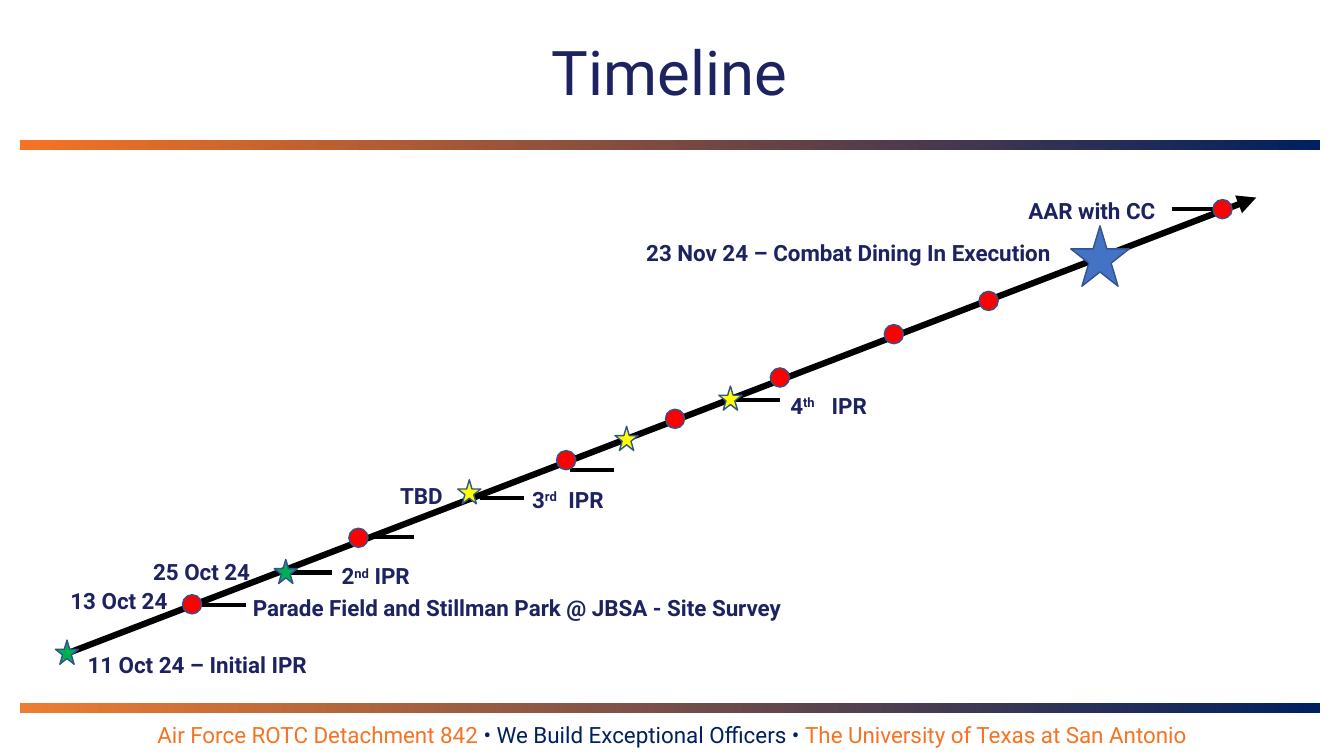
from lxml.etree import SubElement
from pptx import Presentation
from pptx.dml.color import RGBColor
from pptx.enum.shapes import MSO_CONNECTOR as Connector, MSO_SHAPE as Shape
from pptx.enum.text import MSO_ANCHOR as Anchor, MSO_AUTO_SIZE as AutoSize, PP_ALIGN as Align
from pptx.oxml.ns import qn
from pptx.util import Pt

PX = 9144
SLIDE_WIDTH, SLIDE_HEIGHT = 1333, 750
TITLE_ONLY = 5

ORANGE = RGBColor(0xF5, 0x73, 0x22)
PALE_ORANGE = RGBColor(0xED, 0x7D, 0x31)
NAVY = RGBColor(0x00, 0x20, 0x60)
INDIGO = RGBColor(0x1D, 0x22, 0x60)
BLACK = RGBColor(0x00, 0x00, 0x00)
RED = RGBColor(0xFF, 0x00, 0x00)
GREEN = RGBColor(0x00, 0xB0, 0x50)
YELLOW = RGBColor(0xFF, 0xFF, 0x00)
BLUE = RGBColor(0x44, 0x72, 0xC4)
OUTLINE = RGBColor(0x31, 0x53, 0x8F)

TITLE_FONT = {"name": "Roboto", "size": Pt(44), "bold": False}
LABEL_FONT = {"name": "Roboto", "size": Pt(16), "bold": True}
FOOTER_FONT = {"name": "Roboto", "size": Pt(16), "bold": False}
FRAME = {"word_wrap": True, "auto_size": AutoSize.NONE, "vertical_anchor": Anchor.TOP}

BARS = [(139, ORANGE), (697, PALE_ORANGE)]
FOOTER = [
    ("Air Force ROTC Detachment 842 ", ORANGE),
    ("• We Build Exceptional Officers • ", NAVY),
    ("The University of Texas at San Antonio", ORANGE),
]
DASH_LENGTH = 44
DASHES = [(200, 600), (285, 568), (367, 533), (476, 494), (565, 466), (730, 397), (1162, 207)]
DOT_SIZE = 19
DOTS = [(181, 590), (346, 524), (552, 447), (660, 406), (764, 365), (877, 322), (971, 289), (1203, 198)]
STARS = [
    (55, 635, 23, 24, GREEN),
    (272, 555, 23, 24, GREEN),
    (454, 476, 23, 24, YELLOW),
    (610, 423, 23, 24, YELLOW),
    (713, 383, 23, 24, YELLOW),
    (1062, 224, 58, 60, BLUE),
]
LABELS = [
    (77, 637, 350, "11 Oct 24 – Initial IPR"),
    (60, 574, 131, "13 Oct 24"),
    (241, 581, 594, "Parade Field and Stillman Park @ JBSA - Site Survey"),
    (142, 545, 131, "25 Oct 24"),
    (387, 469, 131, "TBD"),
    (1010, 187, 169, "AAR with CC"),
]
REVIEWS = [
    (329, 549, "2", "nd", " IPR", None),
    (518, 473, "3", "rd", "\tIPR", 36),
    (774, 380, "4", "th", "\tIPR", 41),
]


def px(*lengths):
    return [length * PX for length in lengths]


def apply(target, values):
    for name, value in values.items():
        setattr(target, name, value)


def add_run(paragraph, text, font, color):
    run = paragraph.add_run()
    run.text = text
    apply(run.font, font)
    run.font.color.rgb = color
    return run


def add_title(slide, text):
    title = slide.shapes.title
    apply(title, dict(zip(("left", "top", "width", "height"), px(252, 29, 824, 84))))
    apply(title.text_frame, FRAME)
    paragraph = title.text_frame.paragraphs[0]
    paragraph.alignment = Align.CENTER
    add_run(paragraph, text, TITLE_FONT, INDIGO)


def add_text_box(slide, left, top, width, height, frame=FRAME, **paragraph_format):
    box = slide.shapes.add_textbox(*px(left, top, width, height))
    apply(box.text_frame, frame)
    paragraph = box.text_frame.paragraphs[0]
    apply(paragraph, paragraph_format)
    return paragraph


def add_label(slide, left, top, width, text, align=Align.LEFT):
    paragraph = add_text_box(slide, left, top, width, 38, alignment=align, line_spacing=1.15)
    add_run(paragraph, text, LABEL_FONT, INDIGO)


def add_review(slide, left, top, number, suffix, name, tab):
    paragraph = add_text_box(slide, left, top, 350, 41, line_spacing=1.15)
    if tab:
        tabs = SubElement(paragraph._p.get_or_add_pPr(), qn("a:tabLst"))
        SubElement(tabs, qn("a:tab"), pos=str(tab * PX), algn="l")
    add_run(paragraph, number, LABEL_FONT, INDIGO)
    ordinal = add_run(paragraph, suffix, LABEL_FONT, INDIGO)
    ordinal._r.get_or_add_rPr().set("baseline", "30000")
    add_run(paragraph, name, LABEL_FONT, INDIGO)


def add_footer(slide):
    paragraph = add_text_box(slide, 0, 710, SLIDE_WIDTH, 37,
                             {**FRAME, "vertical_anchor": Anchor.BOTTOM}, alignment=Align.CENTER)
    for text, color in FOOTER:
        add_run(paragraph, text, FOOTER_FONT, color)


def add_bar(slide, top, start_color):
    bar = slide.shapes.add_shape(Shape.RECTANGLE, *px(20, top, 1289, 10))
    bar.shadow.inherit = False
    bar.line.fill.background()
    bar.fill.gradient()
    bar.fill.gradient_angle = 0
    for stop, color, position in zip(bar.fill.gradient_stops, (start_color, NAVY), (0, 1)):
        stop.color.rgb = color
        stop.position = position


def add_line(slide, start, end, weight, arrow=False):
    line = slide.shapes.add_connector(Connector.STRAIGHT, *px(*start, *end))
    line.line.color.rgb = BLACK
    line.line.width = Pt(weight)
    if arrow:
        SubElement(line.line._get_or_add_ln(), qn("a:tailEnd"), type="triangle")
    SubElement(line._element.spPr, qn("a:effectLst"))


def add_marker(slide, kind, left, top, width, height, color):
    marker = slide.shapes.add_shape(kind, *px(left, top, width, height))
    marker.shadow.inherit = False
    marker.fill.solid()
    marker.fill.fore_color.rgb = color
    marker.line.color.rgb = OUTLINE
    marker.line.width = Pt(1)


def main():
    presentation = Presentation()
    apply(presentation, dict(zip(("slide_width", "slide_height"), px(SLIDE_WIDTH, SLIDE_HEIGHT))))
    slide = presentation.slides.add_slide(presentation.slide_layouts[TITLE_ONLY])
    add_title(slide, "Timeline")
    for top, color in BARS:
        add_bar(slide, top, color)
    add_footer(slide)
    add_line(slide, (62, 650), (1246, 196), 4.5, arrow=True)
    for left, top in DASHES:
        add_line(slide, (left, top), (left + DASH_LENGTH, top), 3)
    for left, top in DOTS:
        add_marker(slide, Shape.OVAL, left, top, DOT_SIZE, DOT_SIZE, RED)
    for star in STARS:
        add_marker(slide, Shape.STAR_5_POINT, *star)
    for label in LABELS:
        add_label(slide, *label)
    add_label(slide, 565, 228, 487, "23 Nov 24 – Combat Dining In Execution", Align.RIGHT)
    for review in REVIEWS:
        add_review(slide, *review)
    presentation.save("out.pptx")


if __name__ == "__main__":
    main()
